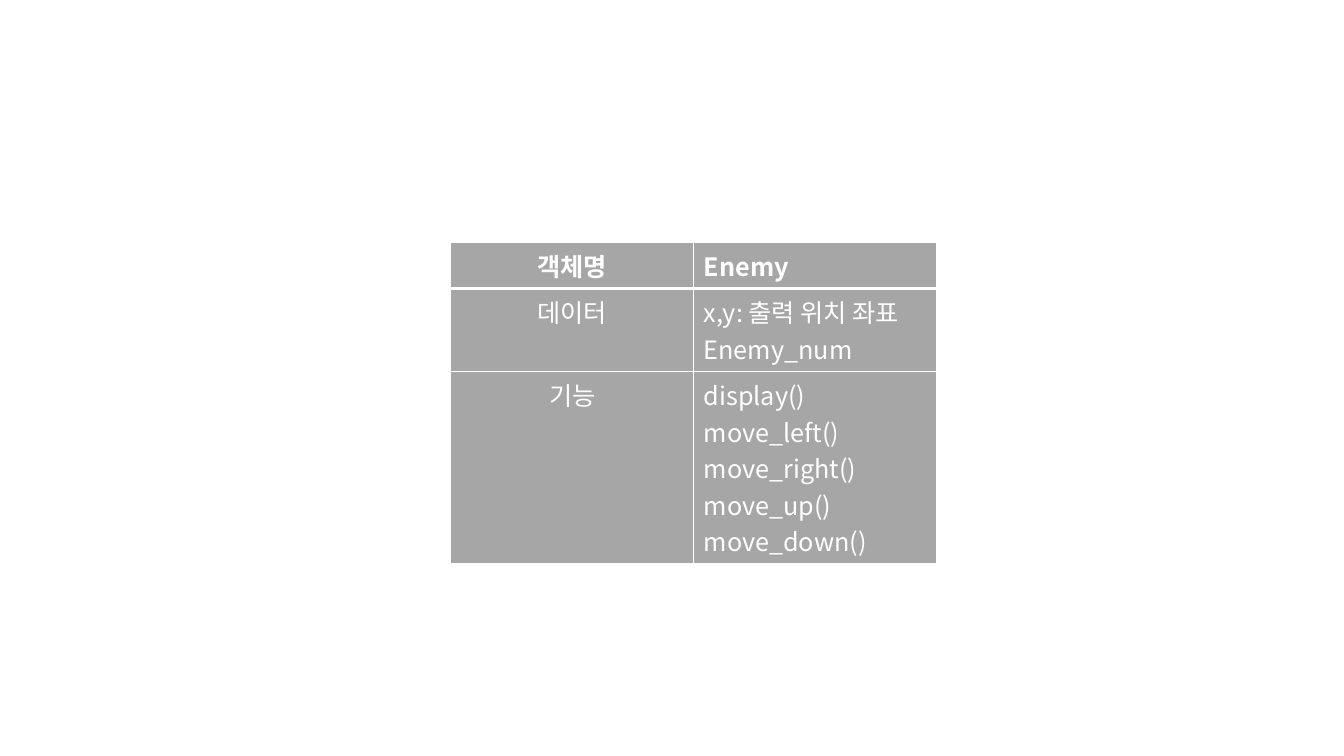
from dataclasses import dataclass

from lxml import etree
from pptx import Presentation
from pptx.dml.color import RGBColor
from pptx.enum.text import PP_ALIGN
from pptx.oxml.ns import qn
from pptx.util import Inches, Pt

CENTER, LEFT = PP_ALIGN.CENTER, PP_ALIGN.LEFT


@dataclass(frozen=True)
class Theme:
    """Colours, type and table measures of the slide."""
    font: str = "Noto Sans CJK KR"
    size: int = 18
    text: str = "FFFFFF"
    fill: str = "A6A6A6"
    border: str = "FFFFFF"
    thin: int = 1
    thick: int = 3
    line_height: float = 0.36
    row_padding: float = 0.1


THEME = Theme()
TABLE_BOX = (4.47, 2.4, 4.82)
ENEMY_ROWS = [
    ("객체명", ["Enemy"]),
    ("데이터", ["x,y: 출력 위치 좌표", "Enemy_num"]),
    ("기능", ["display()", "move_left()", "move_right()", "move_up()", "move_down()"]),
]


def write_text(tf, lines, align=LEFT, bold=False):
    """Write one paragraph per line in the theme's type."""
    for i, line in enumerate(lines):
        p = tf.paragraphs[0] if i == 0 else tf.add_paragraph()
        p.alignment = align
        r = p.add_run()
        r.text = line
        r.font.name, r.font.size, r.font.bold = THEME.font, Pt(THEME.size), bold
        r.font.color.rgb = RGBColor.from_string(THEME.text)
        etree.SubElement(r._r.get_or_add_rPr(), qn("a:ea"), typeface=THEME.font)


def style_cell(cell, top, bottom):
    """Fill a cell and draw its four borders."""
    cell.fill.solid()
    cell.fill.fore_color.rgb = RGBColor.from_string(THEME.fill)
    tc_pr = cell._tc.get_or_add_tcPr()
    widths = {"L": THEME.thin, "R": THEME.thin, "T": top, "B": bottom}
    for i, (side, width) in enumerate(widths.items()):
        ln = etree.Element(qn(f"a:ln{side}"), w=str(Pt(width)))
        fill = etree.SubElement(ln, qn("a:solidFill"))
        etree.SubElement(fill, qn("a:srgbClr"), val=THEME.border)
        tc_pr.insert(i, ln)


def add_object_table(s, box, rows):
    """Place a table of an object's name, data and functions in the box."""
    left, top, width = box
    heights = [THEME.row_padding + THEME.line_height * len(lines) for _, lines in rows]
    frame = s.shapes.add_table(len(rows), 2, Inches(left), Inches(top),
                               Inches(width), Inches(sum(heights)))
    table = frame.table
    for col in table.columns:
        col.width = Inches(width / 2)
    for i, (label, lines) in enumerate(rows):
        table.rows[i].height = Inches(heights[i])
        above = THEME.thick if i == 1 else THEME.thin
        below = THEME.thick if i == 0 else THEME.thin
        for j, (text, align) in enumerate([([label], CENTER), (lines, LEFT)]):
            cell = table.cell(i, j)
            style_cell(cell, above, below)
            write_text(cell.text_frame, text, align=align, bold=i == 0)


def main():
    """Build and save the slide."""
    prs = Presentation()
    prs.slide_width, prs.slide_height = Inches(13.33), Inches(7.5)
    s = prs.slides.add_slide(prs.slide_layouts[6])
    add_object_table(s, TABLE_BOX, ENEMY_ROWS)
    prs.save("out.pptx")


if __name__ == "__main__":
    main()
